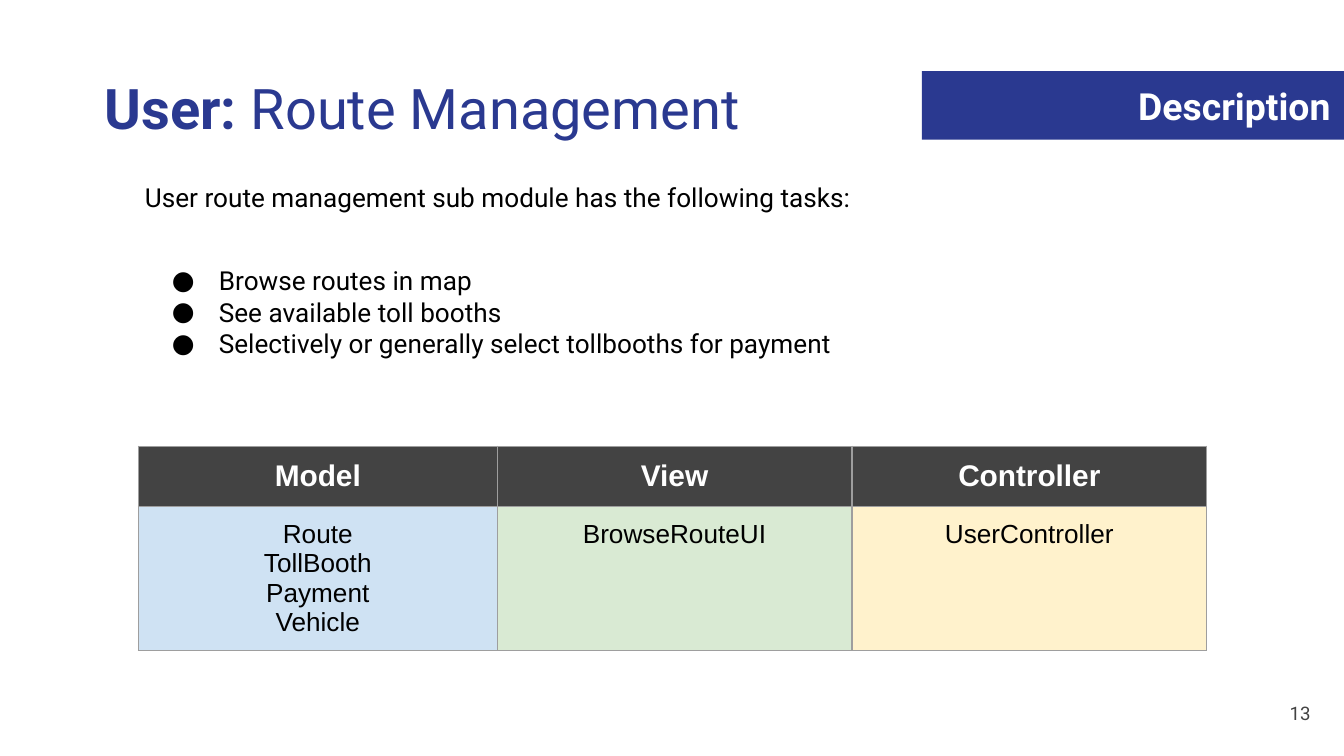
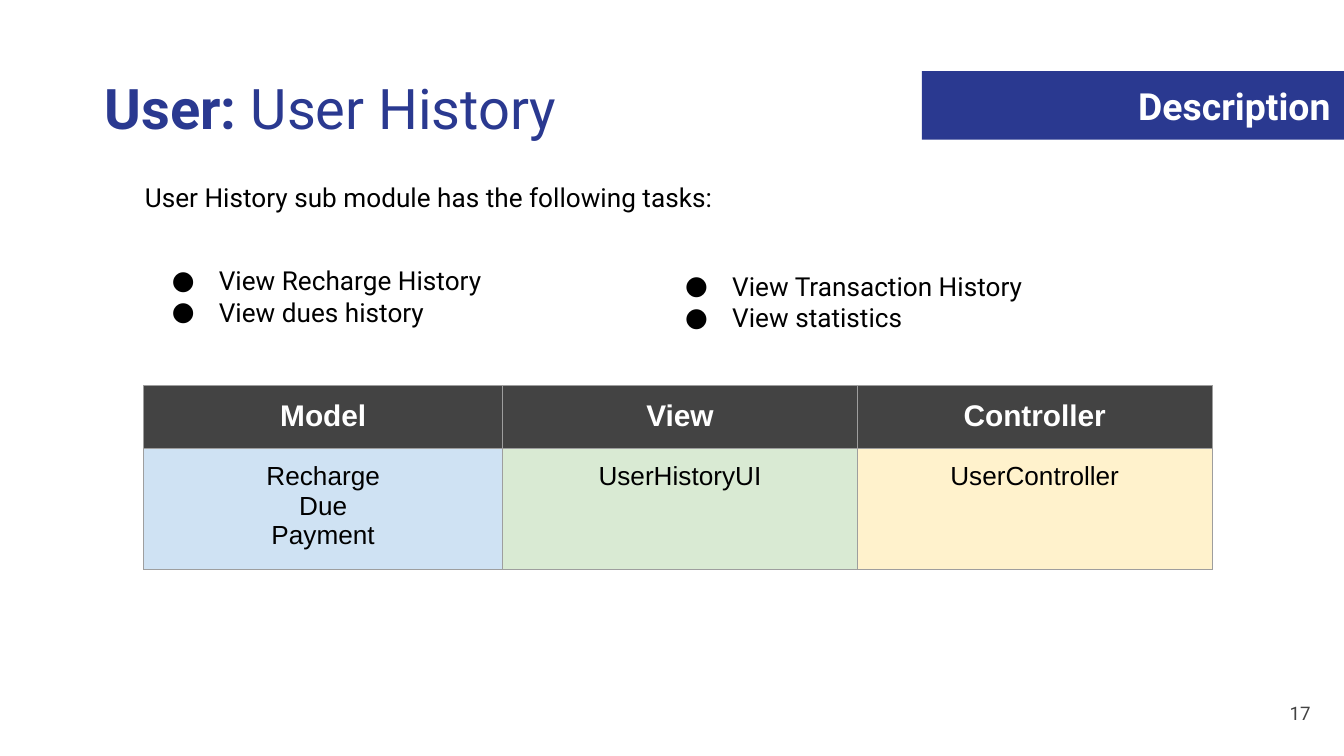
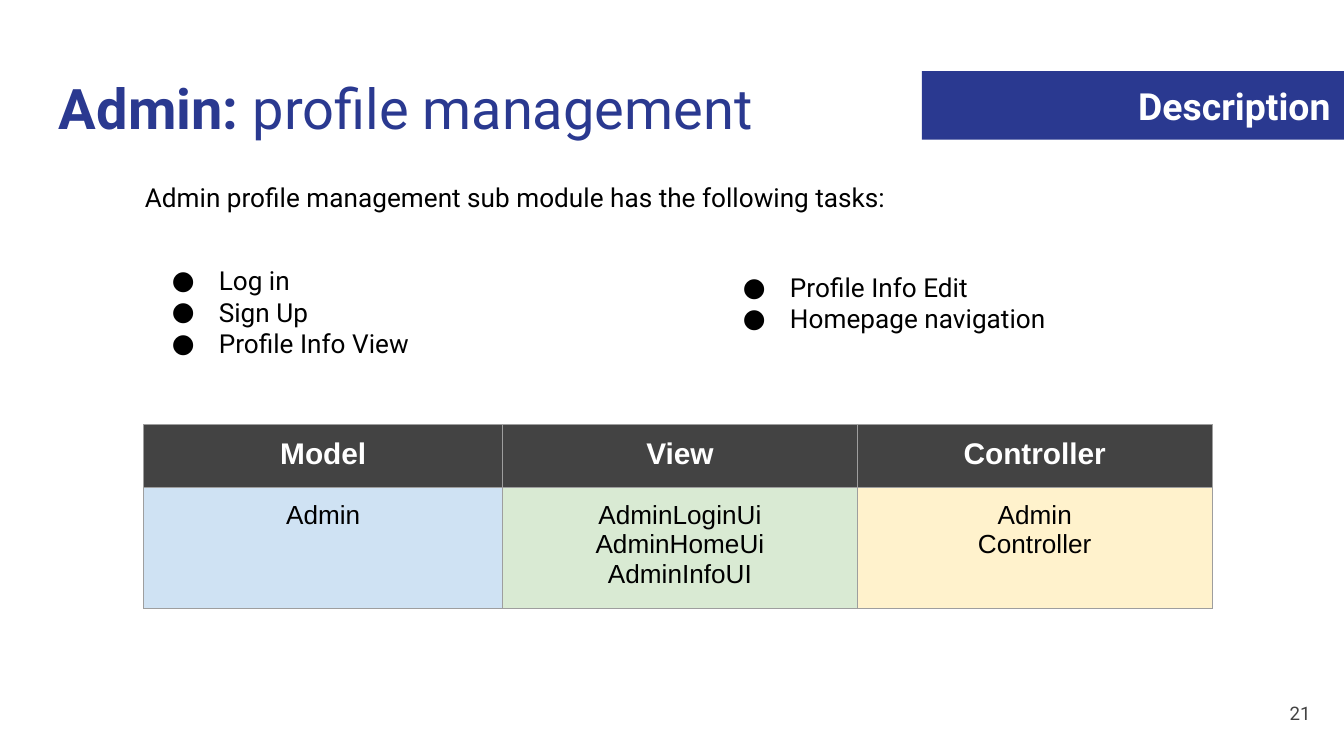
from dataclasses import dataclass

from lxml.etree import SubElement
from pptx import Presentation
from pptx.dml.color import RGBColor
from pptx.enum.shapes import MSO_SHAPE
from pptx.enum.text import MSO_ANCHOR, MSO_AUTO_SIZE, PP_ALIGN
from pptx.oxml.ns import qn
from pptx.slide import Slide
from pptx.table import _Cell
from pptx.text.text import TextFrame, _Paragraph
from pptx.util import Inches, Pt

COLORS = {
    "brand": "2A3990",
    "white": "FFFFFF",
    "text": "000000",
    "dark": "434343",
    "border": "9E9E9E",
    "model": "CFE2F3",
    "view": "D9EAD3",
    "controller": "FFF2CC",
}
SLIDE_WIDTH = 10
SLIDE_HEIGHT = SLIDE_WIDTH * 9 / 16
BODY_FONT = "Roboto"
TABLE_FONT = "Arial"
INSET = Inches(0.1)
TABLE_SIDE = 3.28
COLUMN_WIDTHS = (2.67, 2.64, 2.64)
ROW_HEIGHT = 0.42
HEADINGS = ("Model", "View", "Controller")


@dataclass(frozen=True)
class Box:
    left: float
    top: float
    width: float
    height: float

    def lengths(self) -> tuple[Inches, Inches, Inches, Inches]:
        return Inches(self.left), Inches(self.top), Inches(self.width), Inches(self.height)


@dataclass(frozen=True)
class Style:
    size: int
    color: str
    font: str = BODY_FONT
    bold: bool = False
    align: PP_ALIGN = PP_ALIGN.LEFT


@dataclass(frozen=True)
class TaskList:
    box: Box
    tasks: tuple[str, ...]


@dataclass(frozen=True)
class ModulePage:
    role: str
    module: str
    title_left: float
    intro: str
    task_lists: tuple[TaskList, ...]
    table_left: float
    table_top: float
    components: tuple[tuple[str, ...], ...]
    number: int


BADGE_BOX = Box(6.86, 0.53, 3.14, 0.51)
INTRO_BOX = Box(0.98, 1.25, 8.03, 0.44)
NUMBER_BOX = Box(9.25, 5.09, 0.6, 0.43)

TITLE = Style(30, "brand")
BADGE = Style(20, "white", bold=True, align=PP_ALIGN.RIGHT)
BODY = Style(14, "text")
NUMBER = Style(10, "dark", align=PP_ALIGN.RIGHT)
HEADING = Style(16, "white", TABLE_FONT, True, PP_ALIGN.CENTER)
COMPONENT = Style(14, "text", TABLE_FONT, align=PP_ALIGN.CENTER)

PAGES = (
    ModulePage(
        "User:", " Route Management", 0.68,
        "User route management sub module has the following tasks:",
        (
            TaskList(Box(1.03, 1.87, 7.95, 0.91), (
                "Browse routes in map",
                "See available toll booths",
                "Selectively or generally select tollbooths for payment",
            )),
        ),
        1.03, 3.32,
        (("Route", "TollBooth", "Payment", "Vehicle"), ("BrowseRouteUI",), ("UserController",)),
        13,
    ),
    ModulePage(
        "User:", " User History", 0.68,
        "User History sub module has the following tasks:",
        (
            TaskList(Box(1.03, 1.87, 3.97, 0.67), ("View Recharge History", "View dues history")),
            TaskList(Box(4.85, 1.91, 3.97, 0.67), ("View Transaction History", "View statistics")),
        ),
        1.07, 2.87,
        (("Recharge", "Due", "Payment"), ("UserHistoryUI",), ("UserController",)),
        17,
    ),
    ModulePage(
        "Admin:", " profile management", 0.34,
        "Admin profile management sub module has the following tasks:",
        (
            TaskList(Box(1.03, 1.87, 3.97, 0.91), ("Log in", "Sign Up", "Profile Info View")),
            TaskList(Box(5.28, 1.92, 3.97, 0.67), ("Profile Info Edit", "Homepage navigation")),
        ),
        1.07, 3.16,
        (("Admin",), ("AdminLoginUi", "AdminHomeUi", "AdminInfoUI"), ("Admin\nController",)),
        21,
    ),
)


def rgb(name: str) -> RGBColor:
    return RGBColor.from_string(COLORS[name])


def style_paragraph(paragraph: _Paragraph, style: Style) -> None:
    paragraph.alignment = style.align
    paragraph.font.name = style.font
    paragraph.font.size = Pt(style.size)
    paragraph.font.bold = style.bold
    paragraph.font.color.rgb = rgb(style.color)


def fill_text(frame: TextFrame, lines: tuple[str, ...], style: Style) -> None:
    for index, line in enumerate(lines):
        paragraph = frame.add_paragraph() if index else frame.paragraphs[0]
        paragraph.text = line
        style_paragraph(paragraph, style)


def set_margins(holder: TextFrame | _Cell) -> None:
    holder.margin_left = holder.margin_right = INSET
    holder.margin_top = holder.margin_bottom = INSET


def add_text(slide: Slide, box: Box, lines: tuple[str, ...], style: Style) -> TextFrame:
    frame = slide.shapes.add_textbox(*box.lengths()).text_frame
    frame.word_wrap = True
    set_margins(frame)
    fill_text(frame, lines, style)
    return frame


def add_bullet(paragraph: _Paragraph) -> None:
    properties = paragraph._p.get_or_add_pPr()
    properties.set("marL", str(Inches(0.5)))
    properties.set("indent", str(Inches(-0.35)))
    color = properties.makeelement(qn("a:buClr"), {})
    SubElement(color, qn("a:srgbClr"), val=COLORS["text"])
    size = properties.makeelement(qn("a:buSzPts"), {"val": str(BODY.size * 100)})
    font = properties.makeelement(qn("a:buFont"), {"typeface": BODY_FONT})
    character = properties.makeelement(qn("a:buChar"), {"char": "●"})
    for position, part in enumerate((color, size, font, character)):
        properties.insert(position, part)


def add_tasks(slide: Slide, task_list: TaskList) -> None:
    frame = add_text(slide, task_list.box, task_list.tasks, BODY)
    frame.auto_size = MSO_AUTO_SIZE.SHAPE_TO_FIT_TEXT
    for paragraph in frame.paragraphs:
        add_bullet(paragraph)


def add_title(slide: Slide, page: ModulePage) -> None:
    box = Box(page.title_left, 0.45, 9.32, 0.66)
    paragraph = add_text(slide, box, (page.role,), TITLE).paragraphs[0]
    paragraph.runs[0].font.bold = True
    paragraph.add_run().text = page.module


def add_badge(slide: Slide) -> None:
    badge = slide.shapes.add_shape(MSO_SHAPE.RECTANGLE, *BADGE_BOX.lengths())
    badge.shadow.inherit = False
    badge.fill.solid()
    badge.fill.fore_color.rgb = rgb("brand")
    badge.line.fill.background()
    badge.text_frame.vertical_anchor = MSO_ANCHOR.MIDDLE
    set_margins(badge.text_frame)
    fill_text(badge.text_frame, ("Description",), BADGE)


def fill_cell(cell: _Cell, lines: tuple[str, ...], style: Style, fill: str) -> None:
    set_margins(cell)
    fill_text(cell.text_frame, lines, style)
    properties = cell._tc.get_or_add_tcPr()
    for side in ("lnL", "lnR", "lnT", "lnB"):
        border = SubElement(properties, qn(f"a:{side}"), w=str(Pt(0.75)))
        paint = SubElement(border, qn("a:solidFill"))
        SubElement(paint, qn("a:srgbClr"), val=COLORS["border"])
    cell.fill.solid()
    cell.fill.fore_color.rgb = rgb(fill)


def add_components(slide: Slide, page: ModulePage) -> None:
    box = Box(page.table_left, page.table_top, TABLE_SIDE, TABLE_SIDE)
    frame = slide.shapes.add_table(2, len(HEADINGS), *box.lengths())
    table = frame.table
    table.first_row = table.horz_banding = False
    for row in table.rows:
        row.height = Inches(ROW_HEIGHT)
    for index, (heading, names, width) in enumerate(zip(HEADINGS, page.components, COLUMN_WIDTHS)):
        table.columns[index].width = Inches(width)
        fill_cell(table.cell(0, index), (heading,), HEADING, "dark")
        fill_cell(table.cell(1, index), names, COMPONENT, heading.lower())
    frame.width = frame.height = Inches(TABLE_SIDE)


def add_page(presentation: Presentation, page: ModulePage) -> None:
    slide = presentation.slides.add_slide(presentation.slide_layouts[6])
    slide.background.fill.solid()
    slide.background.fill.fore_color.rgb = rgb("white")
    add_components(slide, page)
    add_badge(slide)
    add_title(slide, page)
    intro = add_text(slide, INTRO_BOX, (page.intro,), BODY)
    intro.auto_size = MSO_AUTO_SIZE.SHAPE_TO_FIT_TEXT
    for task_list in page.task_lists:
        add_tasks(slide, task_list)
    number = add_text(slide, NUMBER_BOX, (str(page.number),), NUMBER)
    number.vertical_anchor = MSO_ANCHOR.MIDDLE


def main() -> None:
    presentation = Presentation()
    presentation.slide_width = Inches(SLIDE_WIDTH)
    presentation.slide_height = Inches(SLIDE_HEIGHT)
    for page in PAGES:
        add_page(presentation, page)
    presentation.save("out.pptx")


if __name__ == "__main__":
    main()
